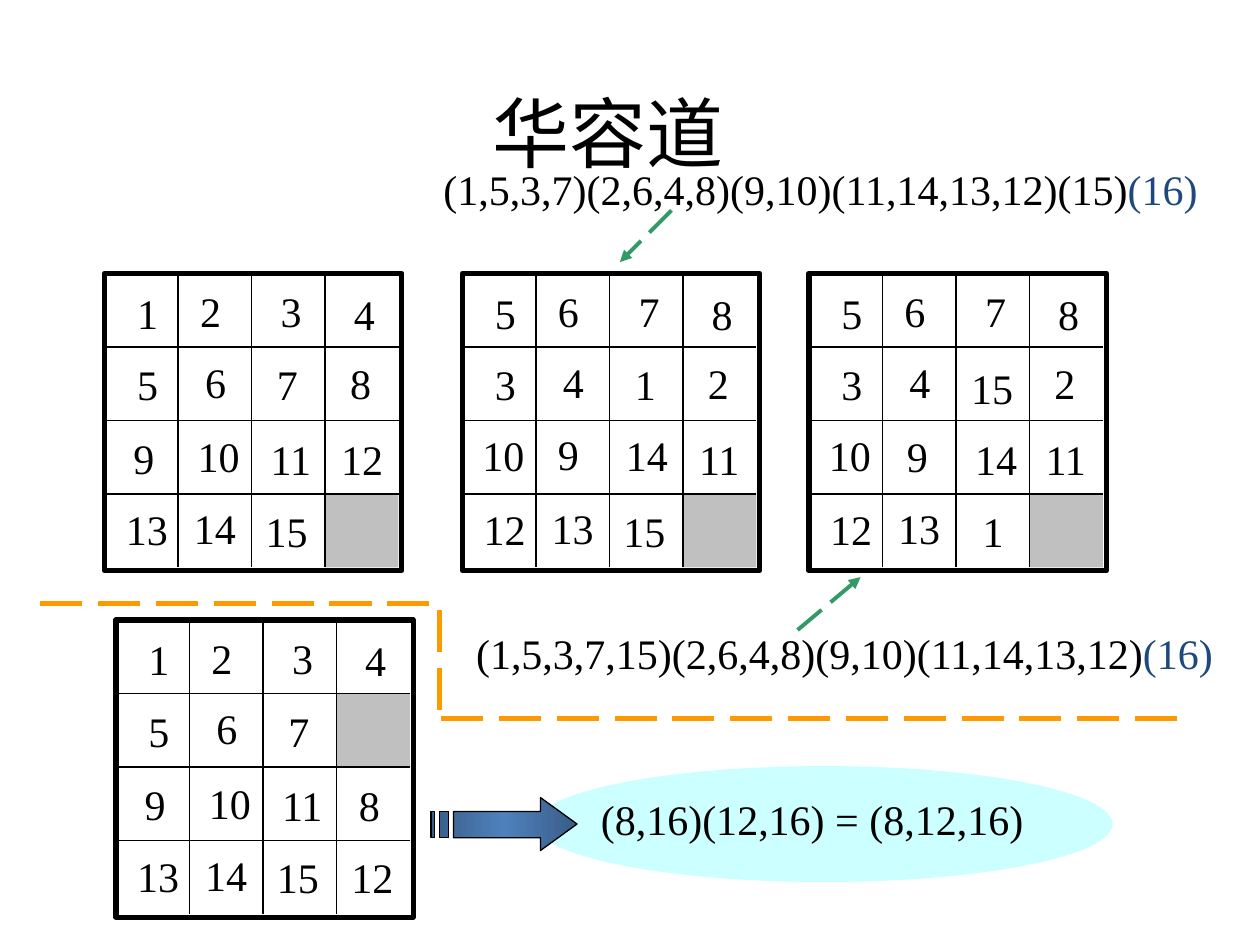
from lxml.etree import SubElement
from pptx import Presentation
from pptx.dml.color import RGBColor
from pptx.enum.dml import MSO_LINE
from pptx.enum.shapes import MSO_CONNECTOR, MSO_SHAPE
from pptx.enum.text import MSO_ANCHOR, PP_ALIGN
from pptx.oxml.ns import qn
from pptx.util import Inches, Pt

# Content: boards with position, numbers (None is the gap), and nudges of some numbers
BOARDS = [
    ((0.83, 2.17), [[1, 2, 3, 4], [5, 6, 7, 8], [9, 10, 11, 12], [13, 14, 15, None]], {}),
    ((3.67, 2.17), [[5, 6, 7, 8], [3, 4, 1, 2], [10, 9, 14, 11], [12, 13, 15, None]],
     {10: (-0.07, -0.02), 9: (0.02, -0.02), 14: (-0.02, -0.03)}),
    ((6.42, 2.17), [[5, 6, 7, 8], [3, 4, 15, 2], [10, 9, 14, 11], [12, 13, 1, None]],
     {15: (-0.08, 0.03), 10: (-0.07, -0.02), 9: (0.04, 0), 1: (0.1, 0)}),
    ((0.92, 4.92), [[1, 2, 3, 4], [5, 6, 7, None], [9, 10, 11, 8], [13, 14, 15, 12]],
     {8: (0.05, 0)}),
]
# Place of each number box within a board
NUMBER_SPOTS = [
    [(0.16, 0.06), (0.66, 0.05), (1.3, 0.05), (1.88, 0.07)],
    [(0.16, 0.63), (0.7, 0.61), (1.27, 0.63), (1.85, 0.62)],
    [(0.13, 1.21), (0.64, 1.2), (1.22, 1.22), (1.78, 1.22)],
    [(0.07, 1.78), (0.61, 1.77), (1.18, 1.79), (1.77, 1.79)],
]
BLACK, NAVY, GREEN, ORANGE = "000000", "1F497D", "339966", "FF9900"
PERMUTATIONS = [
    (3.42, 1.25, 6.25, [("(1,5,3,7)(2,6,4,8)(9,10)(11,14,13,12)(15)", BLACK), ("(16)", NAVY)]),
    (3.68, 4.93, 6.25, [("(1,5,3,7,15)(2,6,4,8)(9,10)(11,14,13,12)", BLACK), ("(16)", NAVY)]),
    (4.67, 6.25, 4.25, [("(8,16)(12,16) = (8,12,16)", BLACK)]),
]
POINTERS = [((5.33, 1.67), (4.92, 2.08)), ((6.33, 5), (6.83, 4.58))]
DIVIDERS = [((0.32, 4.79), (3.48, 4.79)), ((3.49, 4.84), (3.49, 5.67)), ((3.5, 5.7), (9.42, 5.7))]
# Arrow outlines in hundredths of an inch, as freeform points are whole numbers
ARROW_PARTS = [
    [(429, 633), (429, 644), (360, 644), (360, 665), (429, 665), (429, 675), (458, 654)],
    [(349, 644), (349, 665), (356, 665), (356, 644)],
    [(342, 644), (342, 665), (345, 665), (345, 644)],
]
ARROW_COLORS = ["395C87", "4F81BD", "395C87"]
CELL = 7 / 12
SIDE = 4 * CELL


def rgb(value):
    return RGBColor.from_string(value)


def add_block(shapes, preset, left, top, width, height, fill=None, line=None):
    block = shapes.add_shape(preset, *map(Inches, (left, top, width, height)))
    block.shadow.inherit = False
    if fill:
        block.fill.solid()
        block.fill.fore_color.rgb = rgb(fill)
    else:
        block.fill.background()
    if line:
        block.line.color.rgb = rgb(line)
        block.line.width = Pt(3)
    else:
        block.line.fill.background()


def add_line(shapes, start, end, color=BLACK, width=0.75, dashed=False, arrow=False):
    line = shapes.add_connector(MSO_CONNECTOR.STRAIGHT, *map(Inches, (*start, *end)))
    line.line.color.rgb = rgb(color)
    line.line.width = Pt(width)
    if dashed:
        line.line.dash_style = MSO_LINE.LONG_DASH
    properties = line._element.spPr
    if arrow:
        SubElement(properties.find(qn("a:ln")), qn("a:tailEnd"), type="triangle")
    SubElement(properties, qn("a:effectLst"))


def add_text(shapes, left, top, width, height, runs, **formats):
    frame = shapes.add_textbox(*map(Inches, (left, top, width, height))).text_frame
    frame.word_wrap = True
    paragraph = frame.paragraphs[0]
    for words, color in runs:
        run = paragraph.add_run()
        run.text = words
        run.font.color.rgb = rgb(color)
        for name, value in ({"name": "Times New Roman", "size": Pt(24)} | formats).items():
            setattr(run.font, name, value)
    return frame


def add_board(shapes, left, top, rows, nudges):
    for r, row in enumerate(rows):
        for c, number in enumerate(row):
            if number is None:
                add_block(shapes, MSO_SHAPE.RECTANGLE, left + c * CELL, top + r * CELL,
                          CELL, CELL, fill="C0C0C0")
    add_block(shapes, MSO_SHAPE.RECTANGLE, left, top, 2.36, 2.36, line=BLACK)
    for step in range(1, 4):
        x, y = left + step * CELL, top + step * CELL
        add_line(shapes, (x, top), (x, top + SIDE))
        add_line(shapes, (left, y), (left + SIDE, y))
    for row, spots in zip(rows, NUMBER_SPOTS):
        for number, (x, y) in zip(row, spots):
            if number is not None:
                dx, dy = nudges.get(number, (0, 0))
                add_text(shapes, left + x + dx, top + y + dy, 0.67, 0.5, [(str(number), BLACK)])


def add_striped_arrow(shapes):
    head, *stripes = ARROW_PARTS
    builder = shapes.build_freeform(*head[0], scale=Inches(0.01))
    builder.add_line_segments(head[1:], close=True)
    for stripe in stripes:
        builder.move_to(*stripe[0])
        builder.add_line_segments(stripe[1:], close=True)
    arrow = builder.convert_to_shape()
    arrow.shadow.inherit = False
    arrow.line.color.rgb = rgb(BLACK)
    arrow.line.width = Pt(0.75)
    arrow.fill.gradient()
    arrow.fill.gradient_angle = 0
    stops = arrow._element.spPr.find(qn("a:gradFill")).find(qn("a:gsLst"))
    for stop in list(stops):
        stops.remove(stop)
    for position, color in zip((0, 50000, 100000), ARROW_COLORS):
        stop = SubElement(stops, qn("a:gs"), pos=str(position))
        SubElement(stop, qn("a:srgbClr"), val=color)


def main():
    deck = Presentation()
    deck.slide_width, deck.slide_height = Inches(10), Inches(7.5)
    shapes = deck.slides.add_slide(deck.slide_layouts[6]).shapes

    # Result highlight, behind the rest
    add_block(shapes, MSO_SHAPE.OVAL, 4.25, 6.08, 4.58, 0.92, fill="CCFFFF")

    # Boards, one group each
    for (left, top), rows, nudges in BOARDS:
        add_board(shapes.add_group_shape().shapes, left, top, rows, nudges)

    # Title
    title = add_text(shapes, 0.58, 0.42, 8.5, 1.25, [("华容道", BLACK)],
                     name="Calibri", size=Pt(44))
    title.vertical_anchor = MSO_ANCHOR.MIDDLE
    title.paragraphs[0].alignment = PP_ALIGN.CENTER

    # Permutations with their pointers, dividers and arrow
    for left, top, width, runs in PERMUTATIONS:
        add_text(shapes, left, top, width, 0.5, runs)
    for start, end in POINTERS:
        add_line(shapes, start, end, GREEN, 2.25, dashed=True, arrow=True)
    for start, end in DIVIDERS:
        add_line(shapes, start, end, ORANGE, 3, dashed=True)
    add_striped_arrow(shapes)

    deck.save("out.pptx")


if __name__ == "__main__":
    main()
